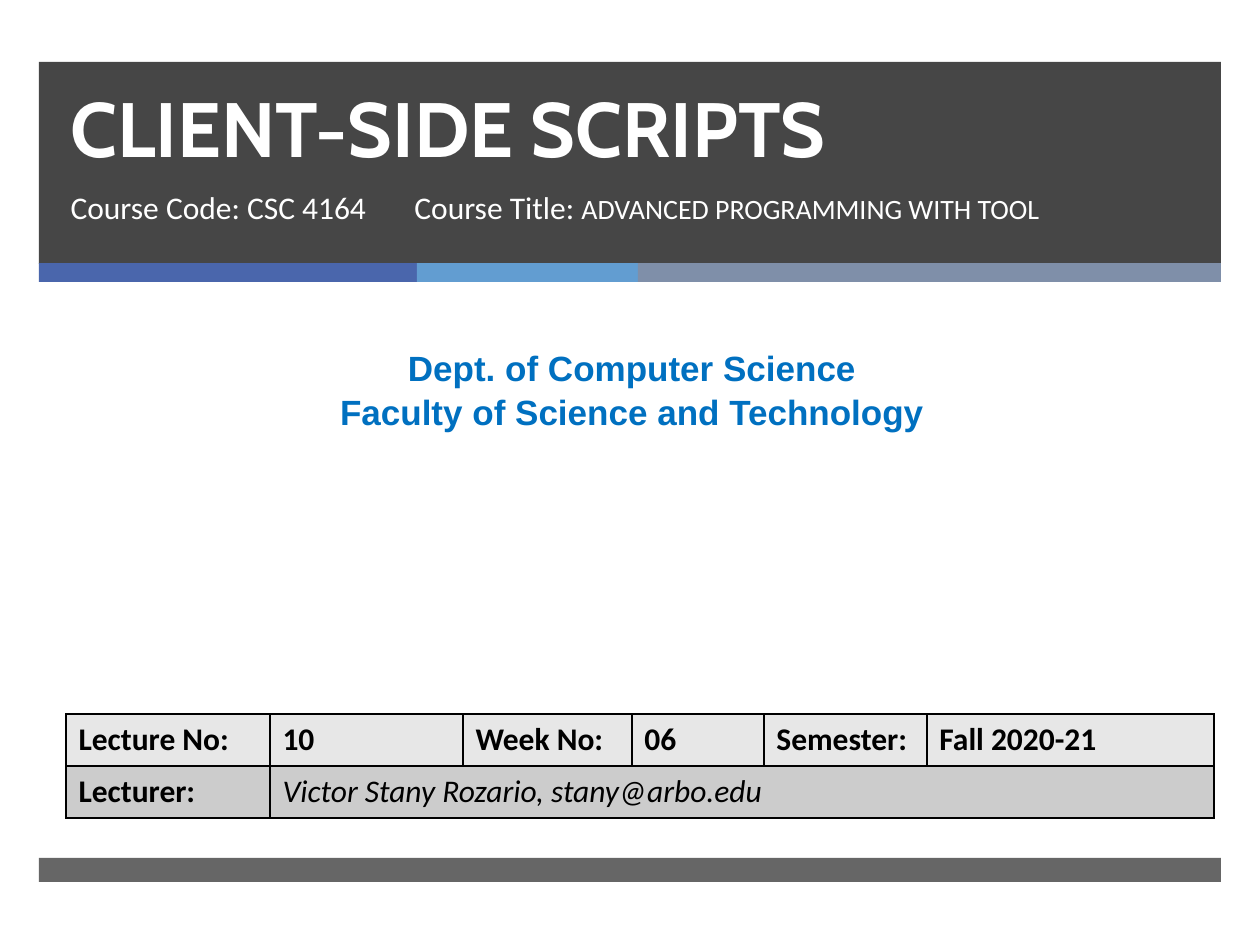
from dataclasses import dataclass
from typing import NamedTuple

from lxml.etree import SubElement
from pptx import Presentation
from pptx.dml.color import RGBColor
from pptx.enum.shapes import MSO_SHAPE
from pptx.enum.text import MSO_ANCHOR, MSO_AUTO_SIZE, PP_ALIGN
from pptx.oxml.ns import qn
from pptx.util import Emu, Pt

EMU_PER_PX = 914400 / 126


def px(length: int) -> Emu:
    return Emu(round(length * EMU_PER_PX))


@dataclass(frozen=True)
class Theme:
    dark: str = "262626"
    indigo: str = "4A66AC"
    sky: str = "629DD1"
    slate: str = "7F8FA9"
    white: str = "FFFFFF"
    black: str = "000000"
    department: str = "0070C0"
    row_fills: tuple[str, str] = ("E7E7E7", "CCCCCC")
    title_font: str = "Cabin"
    body_font: str = "Calibri"
    department_font: str = "Arial"
    title_size: int = 44
    title_leading: int = 46
    department_size: int = 20
    body_size: int = 18
    course_size: int = 16
    leading: float = 1.05


class Box(NamedTuple):
    left: int
    top: int
    width: int
    height: int

    def emu(self) -> tuple[Emu, ...]:
        return tuple(px(length) for length in self)


class Band(NamedTuple):
    box: Box
    color: str
    opacity: int = 100


class Style(NamedTuple):
    font: str
    size: int
    color: str
    bold: bool = False
    italic: bool = False


THEME = Theme()
BANDS = (
    Band(Box(39, 62, 1182, 202), THEME.dark, 85),
    Band(Box(39, 263, 378, 19), THEME.indigo),
    Band(Box(417, 263, 221, 19), THEME.sky),
    Band(Box(638, 263, 583, 19), THEME.slate),
    Band(Box(39, 858, 1182, 24), THEME.dark, 70),
)
TITLE_STYLE = Style(THEME.title_font, THEME.title_size, THEME.white, bold=True)
COURSE_STYLE = Style(THEME.body_font, THEME.body_size, THEME.white)
DEPARTMENT_STYLE = Style(THEME.department_font, THEME.department_size, THEME.department, bold=True)
LABEL_STYLE = Style(THEME.body_font, THEME.body_size, THEME.black, bold=True)
LECTURER_STYLE = LABEL_STYLE._replace(bold=False, italic=True)

TABLE_LEFT, TABLE_TOP, ROW_HEIGHT = 66, 714, 52
COLUMN_WIDTHS = (204, 193, 169, 132, 163, 287)
LECTURE_ROWS = (
    ("Lecture No:", "10", "Week No:", "06", "Semester:", "Fall 2020-21"),
    ("Lecturer:", "Victor Stany Rozario, stany@arbo.edu"),
)


def draw_band(slide, band: Band) -> None:
    bar = slide.shapes.add_shape(MSO_SHAPE.RECTANGLE, *band.box.emu())
    bar.shadow.inherit = False
    bar.line.fill.background()
    bar.fill.solid()
    bar.fill.fore_color.rgb = RGBColor.from_string(band.color)
    if band.opacity < 100:
        color = bar._element.spPr.find(qn("a:solidFill"))[0]
        SubElement(color, qn("a:alpha"), val=str(band.opacity * 1000))


def style_paragraph(paragraph, style: Style) -> None:
    font = paragraph.font
    font.name = style.font
    font.size = Pt(style.size)
    font.bold = style.bold
    font.italic = style.italic
    font.color.rgb = RGBColor.from_string(style.color)


def write_lines(shape, box: Box, lines: tuple[str, ...], style: Style,
                align: PP_ALIGN = PP_ALIGN.LEFT, leading: float | Pt = THEME.leading,
                anchor: MSO_ANCHOR = MSO_ANCHOR.TOP) -> None:
    shape.left, shape.top, shape.width, shape.height = box.emu()
    frame = shape.text_frame
    frame.text = "\n".join(lines)
    frame.word_wrap = True
    frame.auto_size = MSO_AUTO_SIZE.NONE
    frame.vertical_anchor = anchor
    for paragraph in frame.paragraphs:
        paragraph.alignment = align
        paragraph.line_spacing = leading
        paragraph.space_before = Pt(0)
        style_paragraph(paragraph, style)


def add_text(slide, box: Box, lines: tuple[str, ...], style: Style,
             align: PP_ALIGN = PP_ALIGN.LEFT):
    text = slide.shapes.add_textbox(*box.emu())
    write_lines(text, box, lines, style, align)
    return text


def draw_borders(cell) -> None:
    properties = cell._tc.get_or_add_tcPr()
    for position, side in enumerate(("a:lnL", "a:lnR", "a:lnT", "a:lnB")):
        line = properties.makeelement(qn(side), {"w": str(Pt(1))})
        fill = SubElement(line, qn("a:solidFill"))
        SubElement(fill, qn("a:srgbClr"), val=THEME.black)
        properties.insert(position, line)


def draw_lecture_table(slide) -> None:
    box = Box(TABLE_LEFT, TABLE_TOP, sum(COLUMN_WIDTHS), ROW_HEIGHT * len(LECTURE_ROWS))
    table = slide.shapes.add_table(len(LECTURE_ROWS), len(COLUMN_WIDTHS), *box.emu()).table
    for column, width in zip(table.columns, COLUMN_WIDTHS):
        column.width = px(width)
    for row, fill in zip(table.rows, THEME.row_fills):
        for cell in row.cells:
            cell.fill.solid()
            cell.fill.fore_color.rgb = RGBColor.from_string(fill)
            draw_borders(cell)
    table.cell(1, 1).merge(table.cell(1, len(COLUMN_WIDTHS) - 1))
    for r, texts in enumerate(LECTURE_ROWS):
        for c, text in enumerate(texts):
            cell = table.cell(r, c)
            cell.text = text
            style = LECTURER_STYLE if (r, c) == (1, 1) else LABEL_STYLE
            style_paragraph(cell.text_frame.paragraphs[0], style)


def main() -> None:
    presentation = Presentation()
    presentation.slide_width, presentation.slide_height = px(1260), px(945)
    slide = presentation.slides.add_slide(presentation.slide_layouts[0])
    title, course_code = slide.placeholders

    for band in BANDS:
        draw_band(slide, band)
    for placeholder in (title, course_code):
        slide.shapes._spTree.append(placeholder._element)

    write_lines(title, Box(58, 62, 1056, 117), ("CLIENT-SIDE SCRIPTS",), TITLE_STYLE,
                leading=Pt(THEME.title_leading), anchor=MSO_ANCHOR.BOTTOM)
    write_lines(course_code, Box(58, 180, 392, 97), ("Course Code: CSC 4164",), COURSE_STYLE)
    add_text(slide, Box(10, 338, 1244, 97),
             ("Dept. of Computer Science", "Faculty of Science and Technology"),
             DEPARTMENT_STYLE, PP_ALIGN.CENTER)
    draw_lecture_table(slide)
    course_title = add_text(slide, Box(402, 180, 699, 98), ("Course Title: ",), COURSE_STYLE)
    course_name = course_title.text_frame.paragraphs[0].add_run()
    course_name.text = "ADVANCED PROGRAMMING WITH TOOL"
    course_name.font.size = Pt(THEME.course_size)

    presentation.save("out.pptx")


if __name__ == "__main__":
    main()
